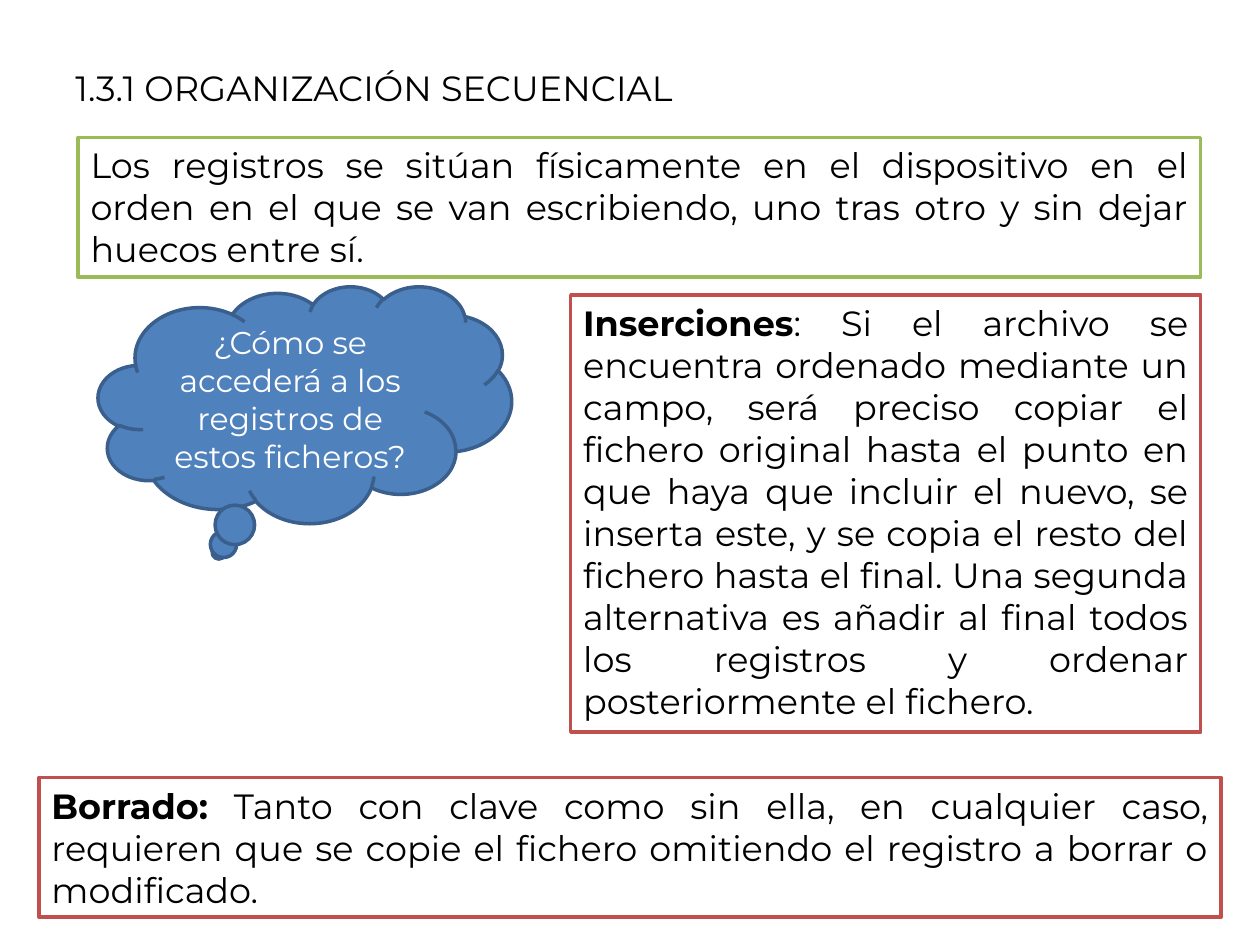
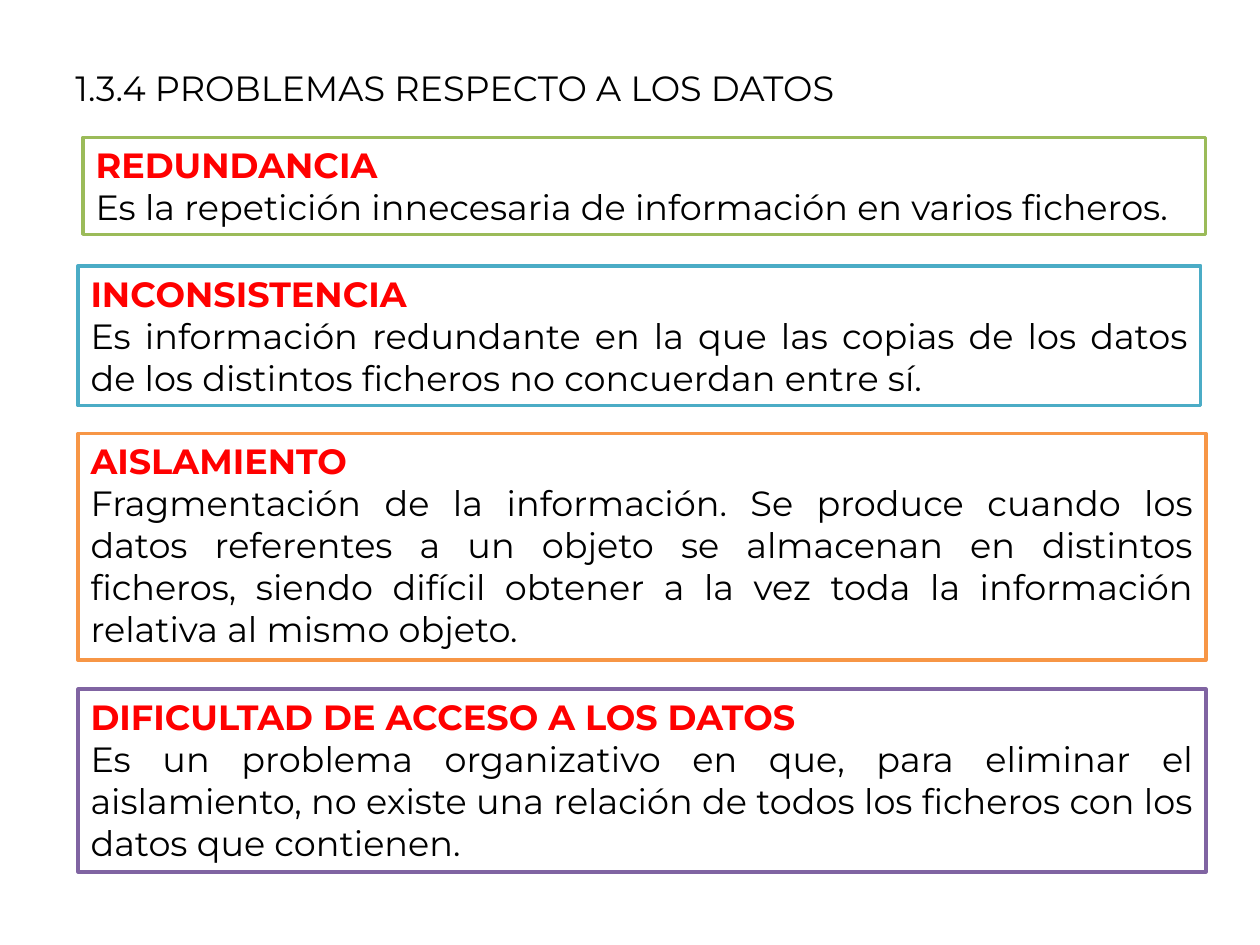
from pptx import Presentation
from pptx.dml.color import RGBColor
from pptx.enum.shapes import MSO_SHAPE as Shape
from pptx.enum.text import MSO_ANCHOR as Anchor, MSO_AUTO_SIZE as AutoSize, PP_ALIGN as Align
from pptx.util import Inches, Pt

COLOURS = {
    "black": "000000", "white": "FFFFFF", "red": "FF0000",
    "blue": "4F81BD", "dark_blue": "3A5F8C", "green": "9BBB59",
    "brick": "C0504D", "aqua": "4BACC6", "orange": "F79646", "purple": "8064A2",
}
FONT = "Montserrat"
LEFT = 0.62
PROBLEMS = [
    ("REDUNDANCIA", "Es la repetición innecesaria de información en varios ficheros.",
     "green", (0.66, 1.09, 8.91, 0.77), Align.LEFT),
    ("INCONSISTENCIA", "Es información redundante en la que las copias de los datos de los "
     "distintos ficheros no concuerdan entre sí.",
     "aqua", (LEFT, 2.11, 8.91, 1.11), Align.JUSTIFY),
    ("AISLAMIENTO", "Fragmentación de la información. Se produce cuando los datos referentes "
     "a un objeto se almacenan en distintos ficheros, siendo difícil obtener a la vez toda la "
     "información relativa al mismo objeto.",
     "orange", (LEFT, 3.44, 8.95, 1.8), Align.JUSTIFY),
    ("DIFICULTAD DE ACCESO A LOS DATOS", "Es un problema organizativo en que, para eliminar el "
     "aislamiento, no existe una relación de todos los ficheros con los datos que contienen.",
     "purple", (LEFT, 5.47, 8.95, 1.45), Align.JUSTIFY),
]


def colour(name):
    """Return the RGB colour with this name."""
    return RGBColor.from_string(COLOURS[name])


def set_attributes(target, values):
    """Set each named attribute on the target."""
    for name, value in values.items():
        setattr(target, name, value)


def add_paragraph(frame, runs, first, align=Align.JUSTIFY, size=20):
    """Write a paragraph of (text, bold, colour) runs."""
    paragraph = frame.paragraphs[0] if first else frame.add_paragraph()
    paragraph.alignment = align
    for text, bold, ink in runs:
        run = paragraph.add_run()
        run.text = text
        set_attributes(run.font, {"name": FONT, "size": Pt(size), "bold": bold})
        run.font.color.rgb = colour(ink)


def add_title(slide, text):
    """Add the slide title."""
    box = slide.shapes.add_textbox(*map(Inches, (0.5, 0.3, 8.95, 0.79)))
    set_attributes(box.text_frame, {"word_wrap": True, "vertical_anchor": Anchor.MIDDLE})
    add_paragraph(box.text_frame, [(text, False, "black")], True)


def add_panel(slide, kind, place, fill, line, frame_format):
    """Add an outlined shape and return its text frame."""
    shape = slide.shapes.add_shape(kind, *map(Inches, place))
    shape.shadow.inherit = False
    shape.fill.solid()
    shape.fill.fore_color.rgb = colour(fill)
    shape.line.color.rgb = colour(line)
    shape.line.width = Pt(2)
    set_attributes(shape.text_frame, {"word_wrap": True, **frame_format})
    return shape.text_frame


def add_box(slide, place, line, anchor=Anchor.TOP):
    """Add a white box that grows with its text."""
    frame_format = {"auto_size": AutoSize.SHAPE_TO_FIT_TEXT, "vertical_anchor": anchor}
    return add_panel(slide, Shape.RECTANGLE, place, "white", line, frame_format)


def add_callout(slide, place, text):
    """Add a cloud with a centred question."""
    frame = add_panel(slide, Shape.CLOUD_CALLOUT, place, "blue", "dark_blue",
                      {"vertical_anchor": Anchor.MIDDLE})
    add_paragraph(frame, [(text, False, "white")], True, Align.CENTER, 18)


def build_sequential(slide):
    """Build the slide on sequential organisation."""
    add_title(slide, "1.3.1 ORGANIZACIÓN SECUENCIAL")
    definition = add_box(slide, (LEFT, 1.09, 8.91, 1.11), "green")
    add_paragraph(definition, [(
        "Los registros se sitúan físicamente en el dispositivo en el orden en el que se van "
        "escribiendo, uno tras otro y sin dejar huecos entre sí.", False, "black")], True)
    add_callout(slide, (0.78, 2.27, 3.28, 1.88),
                "¿Cómo se accederá a los registros de estos ficheros?")
    insertion = add_box(slide, (4.53, 2.34, 5, 3.47), "brick")
    add_paragraph(insertion, [("Inserciones", True, "black"), (
        ": Si el archivo se encuentra ordenado mediante un campo, será preciso copiar el fichero "
        "original hasta el punto en que haya que incluir el nuevo, se inserta este, y se copia el "
        "resto del fichero hasta el final. Una segunda alternativa es añadir al final todos los "
        "registros y ordenar posteriormente el fichero.", False, "black")], True)
    deletion = add_box(slide, (0.31, 6.17, 9.38, 1.11), "brick", Anchor.MIDDLE)
    add_paragraph(deletion, [("Borrado:", True, "black"), (
        " Tanto con clave como sin ella, en cualquier caso, requieren que se copie el fichero "
        "omitiendo el registro a borrar o modificado.", False, "black")], True)


def build_problems(slide):
    """Build the slide on data problems."""
    add_title(slide, "1.3.4 PROBLEMAS RESPECTO A LOS DATOS")
    for heading, text, line, place, align in PROBLEMS:
        frame = add_box(slide, place, line)
        add_paragraph(frame, [(heading, True, "red")], True)
        add_paragraph(frame, [(text, False, "black")], False, align)


def main():
    """Build and save the presentation."""
    presentation = Presentation()
    set_attributes(presentation, {"slide_width": Inches(10), "slide_height": Inches(7.5)})
    for build in (build_sequential, build_problems):
        build(presentation.slides.add_slide(presentation.slide_layouts[6]))
    presentation.save("out.pptx")


main()
